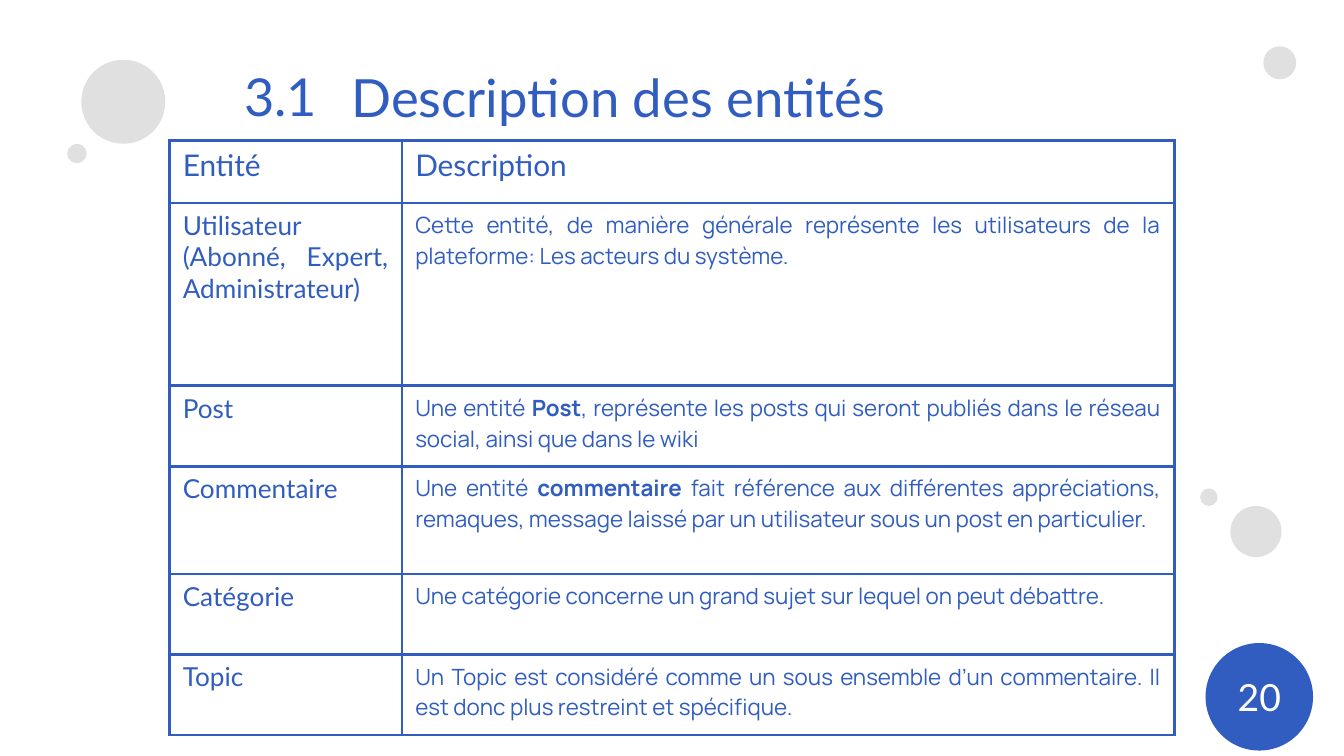
from lxml import etree
from pptx import Presentation
from pptx import util as u
from pptx.dml.color import RGBColor
from pptx.enum import shapes, text
from pptx.oxml.ns import qn

PX = 4572  # EMU per px, 200 px to the inch
BLUE = RGBColor(0x30, 0x5D, 0xBF)
GREY = RGBColor(0xE0, 0xE0, 0xE0)
WHITE = RGBColor(0xFF, 0xFF, 0xFF)
HEAD_FONT, BODY_FONT = "Lato", "Manrope"
BORDER_PT = 1.47

COLS = [346, 1150]
ROWS = [
    (93, "Entité", "Description"),
    (272, "Utilisateur (Abonné, Expert, Administrateur)",
     "Cette entité, de manière générale représente les utilisateurs de la "
     "plateforme: Les acteurs du système."),
    (120, "Post",
     "Une entité **Post**, représente les posts qui seront publiés dans le "
     "réseau social, ainsi que dans le wiki"),
    (160, "Commentaire",
     "Une entité **commentaire** fait référence aux différentes appréciations, "
     "remaques, message laissé par un utilisateur sous un post en particulier."),
    (120, "Catégorie",
     "Une catégorie concerne un grand sujet sur lequel on peut débattre."),
    (120, "Topic",
     "Un Topic est considéré comme un sous ensemble d’un commentaire. "
     "Il est donc plus restreint et spécifique."),
]


def emu(*px):
    return [u.Emu(v * PX) for v in px]


def write(tf, content, size, font=HEAD_FONT, color=BLUE, align=text.PP_ALIGN.LEFT):
    """Fill a frame with one paragraph; **marks** enclose bold words."""
    p = tf.paragraphs[0]
    p.alignment = align
    for i, part in enumerate(content.split("**")):
        r = p.add_run()
        r.text = part
        r.font.size = u.Pt(size)
        r.font.name = font
        r.font.bold = i % 2 == 1
        r.font.color.rgb = color


def set_frame(tf, anchor):
    tf.word_wrap = True
    tf.auto_size = text.MSO_AUTO_SIZE.NONE
    tf.vertical_anchor = anchor
    tf.margin_left, tf.margin_top, tf.margin_right, tf.margin_bottom = emu(20, 20, 20, 20)


def add_circle(s, x, y, d, color):
    sp = s.shapes.add_shape(shapes.MSO_SHAPE.OVAL, *emu(x, y, d, d))
    sp.shadow.inherit = False
    sp.fill.solid()
    sp.fill.fore_color.rgb = color
    sp.line.fill.background()
    return sp


def add_bubbles(s, x, y, circles):
    for dx, dy, d in circles:
        add_circle(s, x + dx, y + dy, d, GREY)


def add_heading(s, x, y, w, h):
    title_x, number_w = 159, 176
    title = s.shapes.title
    title.left, title.top, title.width, title.height = emu(x + title_x, y, w - title_x, h)
    number = s.shapes.add_textbox(*emu(x, y, number_w, h))
    for sp, content, size in ((title, "Description des entités", 28.2),
                              (number, "3.1", 28)):
        set_frame(sp.text_frame, text.MSO_ANCHOR.TOP)
        write(sp.text_frame, content, size)


def add_page_number(s, x, y, d):
    tf = add_circle(s, x, y, d, BLUE).text_frame
    set_frame(tf, text.MSO_ANCHOR.MIDDLE)
    write(tf, "20", 20, color=WHITE, align=text.PP_ALIGN.CENTER)


def add_borders(cell):
    tc_pr = cell._tc.get_or_add_tcPr()
    for i, side in enumerate(("lnL", "lnR", "lnT", "lnB")):
        ln = etree.Element(qn(f"a:{side}"), w=str(int(u.Pt(BORDER_PT))))
        fill = etree.SubElement(ln, qn("a:solidFill"))
        etree.SubElement(fill, qn("a:srgbClr"), val=str(BLUE))
        tc_pr.insert(i, ln)


def add_entity_table(s, x, y):
    heights = [row[0] for row in ROWS]
    box = emu(x, y, sum(COLS), sum(heights))
    table = s.shapes.add_table(len(ROWS), len(COLS), *box).table
    table.first_row = table.horz_banding = False
    for col, w in zip(table.columns, COLS):
        col.width = u.Emu(w * PX)
    for i, (h, *contents) in enumerate(ROWS):
        table.rows[i].height = u.Emu(h * PX)
        for j, content in enumerate(contents):
            cell = table.cell(i, j)
            cell.fill.background()
            add_borders(cell)
            if i == 0:
                write(cell.text_frame, content, 16)
            else:
                size, font = ((14, HEAD_FONT), (12, BODY_FONT))[j]
                write(cell.text_frame, content, size, font,
                      align=text.PP_ALIGN.JUSTIFY)


def main():
    prs = Presentation()
    prs.slide_width, prs.slide_height = emu(2000, 1125)
    s = prs.slides.add_slide(prs.slide_layouts[5])
    s.background.fill.solid()
    s.background.fill.fore_color.rgb = WHITE
    add_bubbles(s, 1786, 727, [(45, 26, 76), (0, 0, 26)])
    add_bubbles(s, 100, 89, [(21, 0, 125), (0, 125, 29)])
    add_bubbles(s, 1880, 69, [(0, 0, 49)])
    add_heading(s, 344, 76, 1267, 138)
    add_page_number(s, 1794, 957, 160)
    add_entity_table(s, 252, 209)
    prs.save("out.pptx")


if __name__ == "__main__":
    main()
